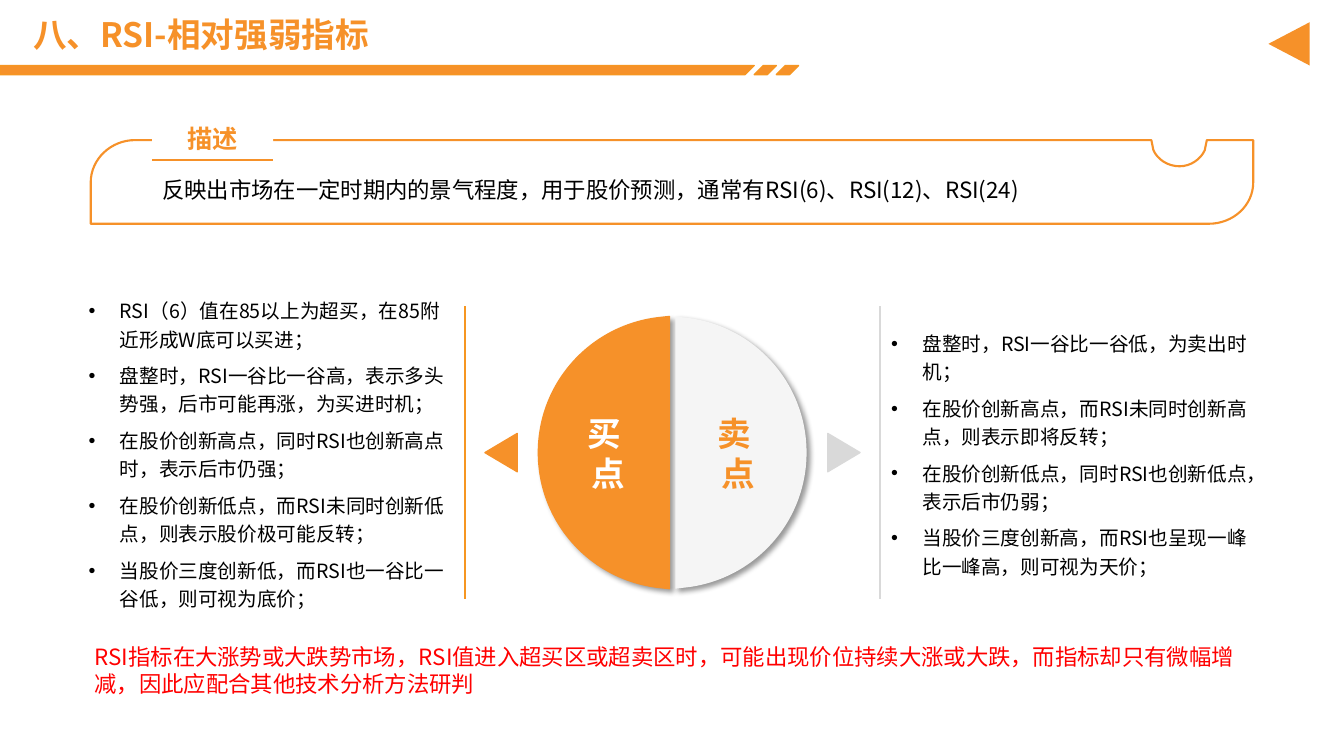
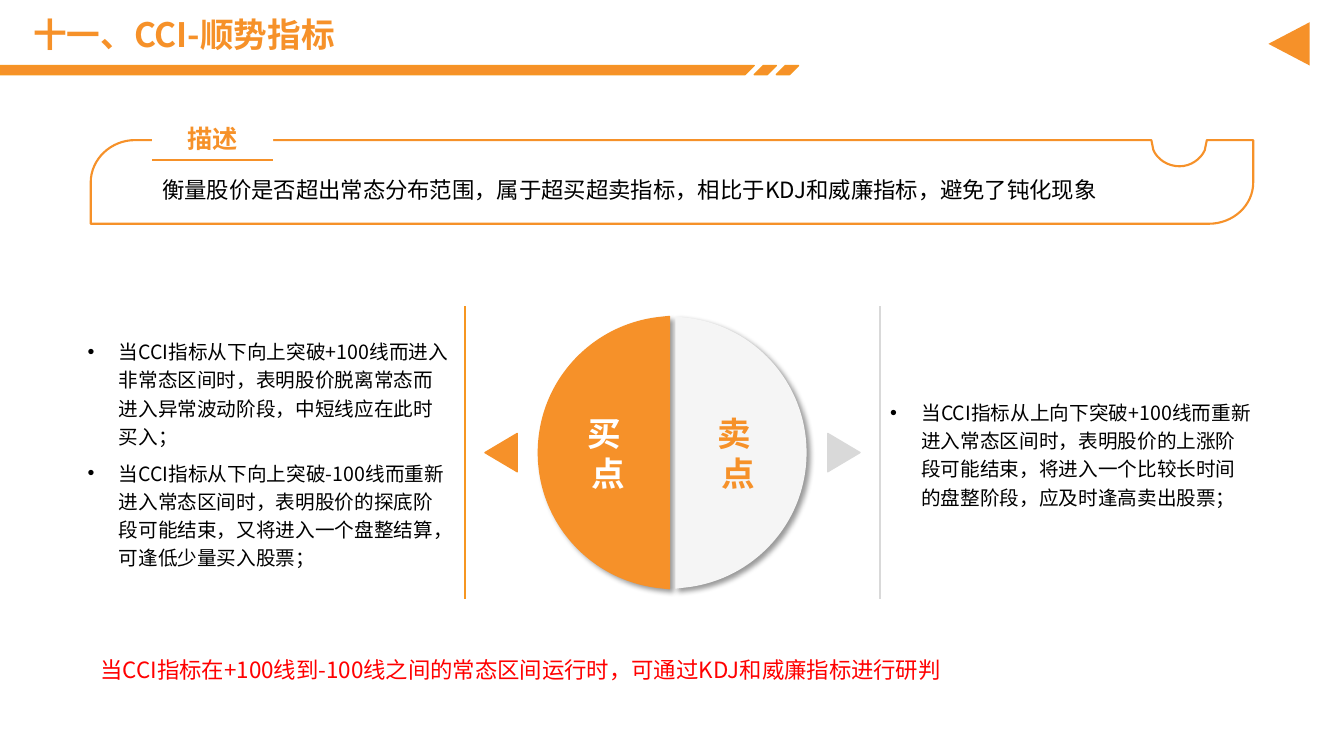
from dataclasses import dataclass

from lxml import etree
from pptx import Presentation
from pptx.dml.color import RGBColor
from pptx.enum.shapes import MSO_CONNECTOR as Connector, MSO_SHAPE as Shape
from pptx.enum.text import MSO_ANCHOR as Anchor, MSO_AUTO_SIZE as AutoSize, PP_ALIGN as Align
from pptx.oxml.ns import qn
from pptx.util import Inches, Pt


@dataclass(frozen=True)
class Theme:
    font: str = "Noto Sans CJK SC"
    orange: str = "F69129"
    edge: str = "F69621"
    grey: str = "D9D9D9"
    pale: str = "F5F5F5"
    white: str = "FFFFFF"
    black: str = "000000"
    red: str = "FF0000"
    heading: int = 24
    label: int = 18
    body: int = 16
    bullet: int = 14


THEME = Theme()

# Content
INDICATORS = [
    dict(
        title="八、RSI-相对强弱指标",
        description="反映出市场在一定时期内的景气程度，用于股价预测，通常有RSI(6)、RSI(12)、RSI(24)",
        buy=[
            "RSI（6）值在85以上为超买，在85附近形成W底可以买进；",
            "盘整时，RSI一谷比一谷高，表示多头势强，后市可能再涨，为买进时机；",
            "在股价创新高点，同时RSI也创新高点时，表示后市仍强；",
            "在股价创新低点，而RSI未同时创新低点，则表示股价极可能反转；",
            "当股价三度创新低，而RSI也一谷比一谷低，则可视为底价；",
        ],
        sell=[
            "盘整时，RSI一谷比一谷低，为卖出时机；",
            "在股价创新高点，而RSI未同时创新高点，则表示即将反转；",
            "在股价创新低点，同时RSI也创新低点，表示后市仍弱；",
            "当股价三度创新高，而RSI也呈现一峰比一峰高，则可视为天价；",
        ],
        note="RSI指标在大涨势或大跌势市场，RSI值进入超买区或超卖区时，可能出现价位持续大涨或大跌，"
             "而指标却只有微幅增减，因此应配合其他技术分析方法研判",
        note_box=(0.84, 6.34, 11.65, 0.64),
        list_lefts=dict(buy=0.78, sell=8.74),
    ),
    dict(
        title="十一、CCI-顺势指标",
        description="衡量股价是否超出常态分布范围，属于超买超卖指标，相比于KDJ和威廉指标，避免了钝化现象",
        buy=[
            "当CCI指标从下向上突破+100线而进入非常态区间时，表明股价脱离常态而进入异常波动阶段，"
            "中短线应在此时买入；",
            "当CCI指标从下向上突破-100线而重新进入常态区间时，表明股价的探底阶段可能结束，"
            "又将进入一个盘整结算，可逢低少量买入股票；",
        ],
        sell=[
            "当CCI指标从上向下突破+100线而重新进入常态区间时，表明股价的上涨阶段可能结束，"
            "将进入一个比较长时间的盘整阶段，应及时逢高卖出股票；",
        ],
        note="当CCI指标在+100线到-100线之间的常态区间运行时，可通过KDJ和威廉指标进行研判",
        note_box=(0.9, 6.34, 11.34, 0.64),
        list_lefts=dict(buy=0.77, sell=8.73),
    ),
]

# The two halves of the disc, with everything that belongs to each
SIDES = [
    dict(key="buy", word="买点", word_left=5.43, ink=THEME.white, fill=THEME.orange,
         outline=THEME.orange, edge=6.64, outward=-1, arrow_left=4.78, turn=270,
         arrow=THEME.orange, rule_x=4.61, rule=THEME.edge),
    dict(key="sell", word="卖点", word_left=6.72, ink=THEME.orange, fill=THEME.pale,
         outline=None, edge=6.7, outward=1, arrow_left=8.18, turn=90,
         arrow=THEME.grey, rule_x=8.73, rule=THEME.grey),
]


def rgb(value):
    return RGBColor.from_string(value)


def inches(values):
    return [Inches(value) for value in values]


def paint(shape, fill=None, line=None, width=1, shadow=False):
    if fill:
        shape.fill.solid()
        shape.fill.fore_color.rgb = rgb(fill)
    else:
        shape.fill.background()
    if line:
        shape.line.color.rgb = rgb(line)
        shape.line.width = Pt(width)
    else:
        shape.line.fill.background()
    shape.shadow.inherit = False
    if shadow:
        effects = shape._element.spPr.find(qn("a:effectLst"))
        outer = etree.SubElement(effects, qn("a:outerShdw"), blurRad=str(Pt(4)),
                                 dist=str(Pt(3)), dir=str(45 * 60000), algn="tl", rotWithShape="0")
        color = etree.SubElement(outer, qn("a:srgbClr"), val=THEME.black)
        etree.SubElement(color, qn("a:alpha"), val="40000")


def write(box, lines, size, color, bold=False, align=Align.LEFT, spacing=None,
          after=None, bullet=False, bottom=0.05):
    frame = box.text_frame
    frame.word_wrap = True
    frame.auto_size = AutoSize.NONE
    frame.vertical_anchor = Anchor.MIDDLE
    frame.margin_left = frame.margin_right = Inches(0.1)
    frame.margin_top, frame.margin_bottom = inches((0.05, bottom))
    for index, line in enumerate(lines):
        para = frame.add_paragraph() if index else frame.paragraphs[0]
        para.alignment = align
        if spacing:
            para.line_spacing = spacing
        if after:
            para.space_after = Pt(after)
        if bullet:
            props = para._p.get_or_add_pPr()
            props.set("marL", str(Inches(0.31)))
            props.set("indent", str(-Inches(0.31)))
            etree.SubElement(props, qn("a:buFont"), typeface="Arial")
            etree.SubElement(props, qn("a:buChar"), char="•")
        span = para.add_run()
        span.text = line
        span.font.size = Pt(size)
        span.font.bold = bold
        span.font.color.rgb = rgb(color)
        span.font.name = THEME.font
        etree.SubElement(span._r.get_or_add_rPr(), qn("a:ea"), typeface=THEME.font)


def add_text(page, place, lines, size, color, **style):
    write(page.shapes.add_textbox(*inches(place)), lines, size, color, **style)


def add_outline(page, start, segments, **look):
    """A segment is one point for a line, or three points for a curve."""
    builder = page.shapes.build_freeform(*inches(start), scale=1.0)
    builder.add_line_segments([inches(point) for segment in segments for point in segment])
    shape = builder.convert_to_shape()
    steps = iter(list(shape._element.iter(qn("a:lnTo"))))
    for segment in segments:
        step = next(steps)
        if len(segment) == 3:
            step.tag = qn("a:cubicBezTo")
            for control in (next(steps), next(steps)):
                step.append(control[0])
                control.getparent().remove(control)
    outline = next(shape._element.iter(qn("a:path")))
    etree.SubElement(outline, qn("a:close"))
    paint(shape, **look)


def add_line(page, start, end, color):
    line = page.shapes.add_connector(Connector.STRAIGHT, *inches(start + end))
    line.line.color.rgb = rgb(color)
    line.line.width = Pt(1.5)
    etree.SubElement(line._element.spPr, qn("a:effectLst"))


def add_triangle(page, place, turn, fill, line=None):
    triangle = page.shapes.add_shape(Shape.ISOSCELES_TRIANGLE, *inches(place))
    triangle.rotation = turn
    paint(triangle, fill, line)


def add_header(page, title):
    heading = page.shapes.title
    heading.left, heading.top, heading.width, heading.height = inches((0.23, 0.15, 12.19, 0.43))
    write(heading, [title], THEME.heading, THEME.orange, bold=True, spacing=0.9)
    # Band: a long bar, then two slanted ticks
    top, bottom, slant, tick = 0.65, 0.74, 0.09, 0.22
    bar_end = 7.48
    bands = [[(0, top), (bar_end, top), (bar_end - slant, bottom), (0, bottom)]]
    for left in (bar_end, bar_end + tick):
        right = left + tick
        bands.append([(left + slant, top), (right, top), (right - slant, bottom), (left, bottom)])
    for start, *corners in bands:
        add_outline(page, start, [[corner] for corner in corners],
                    fill=THEME.orange, line=THEME.edge)
    add_triangle(page, (12.57, 0.23, 0.43, 0.41), 270, THEME.orange)


def add_description(page, text):
    add_text(page, (1.51, 1.73, 10.72, 0.34), [text], THEME.body, THEME.black, bottom=0.08)
    # Frame with a notch and two rounded corners
    left, top, right, bottom, shoulder = 0.9, 1.39, 12.43, 2.22, 1.81
    add_outline(page, (1.34, top), [
        [(11.42, top)],
        [(11.44, 1.49)],
        [(11.48, 1.58), (11.58, 1.65), (11.7, 1.65)],
        [(11.81, 1.65), (11.91, 1.58), (11.95, 1.49)],
        [(11.97, top)],
        [(right, top)],
        [(right, shoulder)],
        [(right, 2.04), (12.23, bottom), (11.99, bottom)],
        [(left, bottom)],
        [(left, shoulder)],
        [(left, 1.58), (1.1, top), (1.34, top)],
    ], line=THEME.orange, width=1.5)
    label = page.shapes.add_shape(Shape.RECTANGLE, *inches((1.51, 1.16, 1.2, 0.43)))
    paint(label, THEME.white)
    write(label, ["描述"], THEME.label, THEME.orange, bold=True, align=Align.CENTER)
    add_line(page, (1.51, 1.59), (2.71, 1.59), THEME.orange)


def add_half_disc(page, side):
    edge, outward = side["edge"], side["outward"]
    rim, shoulder, far = [edge + outward * reach for reach in (0.09, 0.77, 1.3)]
    add_outline(page, (edge, 3.14), [
        [(edge, 5.84)],
        [(rim, 5.83)],
        [(shoulder, 5.76), (far, 5.19), (far, 4.49)],
        [(far, 3.79), (shoulder, 3.22), (rim, 3.15)],
    ], fill=side["fill"], line=side["outline"], shadow=True)


def add_side(page, side, points, list_left):
    first, second = side["word"]
    add_text(page, (side["word_left"], 3.99, 1.2, 1.01), [first + " ", second],
             THEME.heading, side["ink"], bold=True, align=Align.CENTER)
    add_triangle(page, (side["arrow_left"], 4.33, 0.38, 0.32), side["turn"],
                 side["arrow"], side["arrow"])
    add_line(page, (side["rule_x"], 3.04), (side["rule_x"], 5.94), side["rule"])
    add_text(page, (list_left, 3.01, 3.78, 2.96), points, THEME.bullet, THEME.black,
             spacing=1.2, after=6, bullet=True)


def main():
    deck = Presentation()
    deck.slide_width, deck.slide_height = inches((13.33, 7.5))
    for item in INDICATORS:
        page = deck.slides.add_slide(deck.slide_layouts.get_by_name("Title Only"))
        add_header(page, item["title"])
        add_description(page, item["description"])
        for side in SIDES:
            add_half_disc(page, side)
        for side in SIDES:
            add_side(page, side, item[side["key"]], item["list_lefts"][side["key"]])
        add_text(page, item["note_box"], [item["note"]], THEME.body, THEME.red, bottom=0.08)
    deck.save("out.pptx")


if __name__ == "__main__":
    main()
